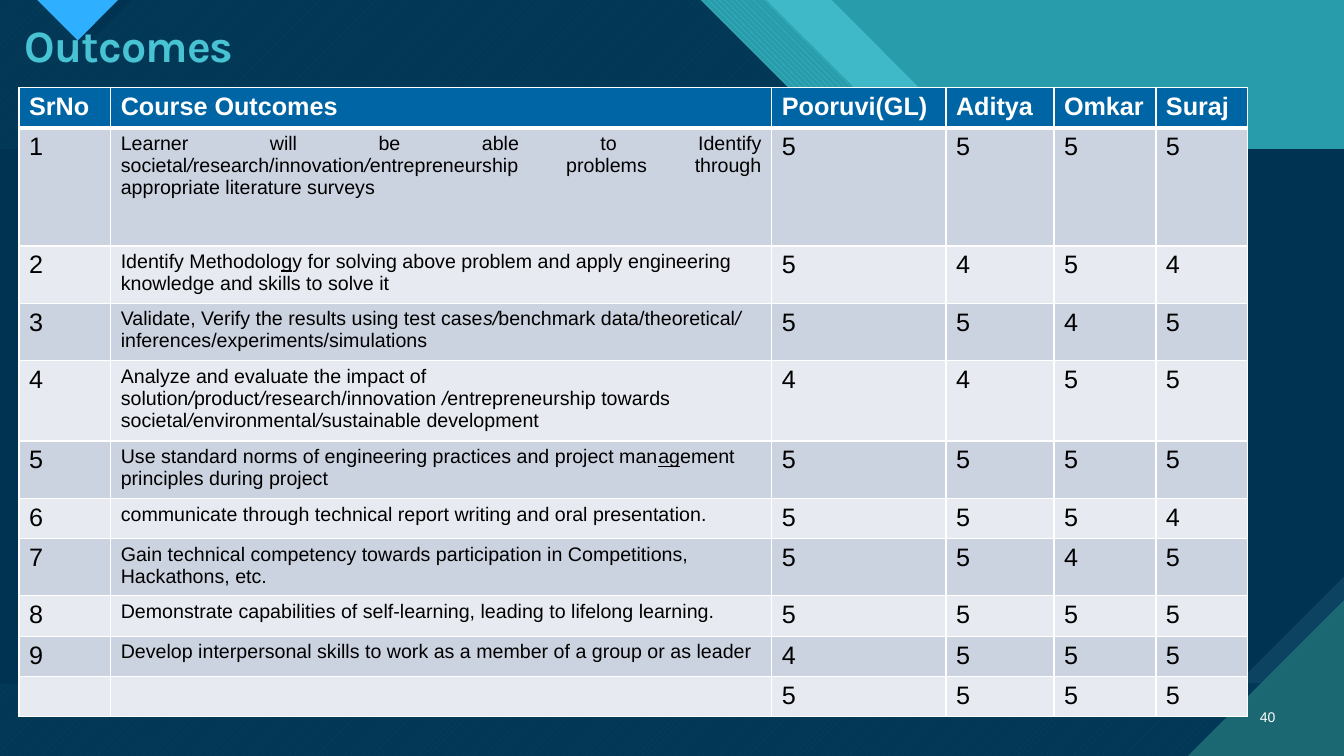
from dataclasses import dataclass
from typing import NamedTuple, Optional

import pptx
import pptx.dml.color
import pptx.enum.dml
import pptx.enum.shapes
import pptx.enum.text
import pptx.oxml.ns
import pptx.util
from lxml import etree

Cm = pptx.util.Cm
Pt = pptx.util.Pt
RGBColor = pptx.dml.color.RGBColor
Pattern = pptx.enum.dml.MSO_PATTERN
Align = pptx.enum.text.PP_ALIGN
qn = pptx.oxml.ns.qn

NAVY = RGBColor(0x00, 0x33, 0x52)
STEEL = RGBColor(0x0C, 0x43, 0x60)
TEAL = RGBColor(0x29, 0x9C, 0xAB)
AQUA = RGBColor(0x47, 0xC3, 0xD3)
PINE = RGBColor(0x1B, 0x68, 0x72)
SKY = RGBColor(0x2F, 0xAF, 0xFF)
HEADER_BLUE = RGBColor(0x00, 0x65, 0xA4)
BANDS = (RGBColor(0xCC, 0xD3, 0xE0), RGBColor(0xE7, 0xEA, 0xF0))
WHITE = RGBColor(0xFF, 0xFF, 0xFF)
BLACK = RGBColor(0x00, 0x00, 0x00)

WIDTH, HEIGHT = 33.87, 19.05
Point = tuple[float, float]


class Paint(NamedTuple):
    color: RGBColor
    back: Optional[RGBColor] = None
    pattern: Optional[Pattern] = None
    opacity: int = 100


@dataclass(frozen=True)
class Slab:
    """A slide-filling panel whose right side steps down along two diagonals."""
    left: float
    top_right: float
    ledge_start: float
    ledge_end: float
    ledge_y: float
    edge_y: float
    paint: Paint

    def points(self) -> list[Point]:
        return [(self.left, 0), (self.top_right, 0), (self.ledge_start, self.ledge_y),
                (self.ledge_end, self.ledge_y), (WIDTH, self.edge_y),
                (WIDTH, HEIGHT), (self.left, HEIGHT)]


@dataclass(frozen=True)
class Piece:
    text: str
    italic: bool = False
    underline: bool = False


@dataclass(frozen=True)
class Outcome:
    number: str
    pieces: tuple[Piece, ...]
    scores: str
    height: float = 0.99
    align: Align = Align.LEFT


SLABS = (
    Slab(0, 20.96, 28.5, 31.34, 7.57, 10.08, Paint(AQUA, opacity=74)),
    Slab(1.68, 19.3, 26.87, 30.07, 7.54, 11.35, Paint(AQUA, TEAL, Pattern.WIDE_DOWNWARD_DIAGONAL)),
    Slab(0, 17.65, 25.2, 28.4, 7.54, 13.03, Paint(AQUA, PINE, Pattern.WIDE_UPWARD_DIAGONAL)),
    Slab(0, 17.65, 25.2, 28.4, 7.54, 13.03, Paint(NAVY, opacity=90)),
)
CORNERS = (
    ([(1.22, 0), (3.33, 0), (2.29, 1.04)], Paint(NAVY)),
    ([(0.94, 0), (2.97, 0), (1.96, 1.02)], Paint(SKY, PINE, Pattern.DARK_HORIZONTAL)),
)
BOTTOM_CORNER = [(29.95, HEIGHT), (WIDTH, HEIGHT), (WIDTH, 15.14)]
PANELS = ((0, Paint(STEEL, PINE, Pattern.DARK_VERTICAL)), (0.2, Paint(NAVY)))

HEADERS = ("SrNo", "Course Outcomes", "Pooruvi(GL)", "Aditya", "Omkar", "Suraj")
COLUMN_WIDTHS = (2.31, 16.66, 4.39, 2.72, 2.57, 2.31)
HEADER_HEIGHT = 0.99
SLASH = Piece("/", italic=True)
OUTCOMES = (
    Outcome("1", (Piece("Learner will be able to Identify societal"), SLASH,
                  Piece("research/innovation"), SLASH,
                  Piece("entrepreneurship problems through appropriate literature surveys")),
            "5555", 2.97, Align.JUSTIFY),
    Outcome("2", (Piece("Identify Methodolo"), Piece("g", underline=True),
                  Piece("y for solving above problem and apply engineering "
                        "knowledge and skills to solve it")), "5454", 1.41),
    Outcome("3", (Piece("Validate, Verify the results using test case"),
                  Piece("s/", italic=True), Piece("benchmark data/theoretical"),
                  Piece("/ ", italic=True), Piece("inferences/experiments/simulations")),
            "5545", 1.41),
    Outcome("4", (Piece("Analyze and evaluate the impact of solution"), SLASH,
                  Piece("product"), SLASH, Piece("research/innovation "), SLASH,
                  Piece("entrepreneurship towards societal"), SLASH,
                  Piece("environmental"), SLASH, Piece("sustainable development")),
            "4455", 1.98),
    Outcome("5", (Piece("Use standard norms of engineering practices and project man"),
                  Piece("ag", underline=True), Piece("ement principles during project")), "5555"),
    Outcome("6", (Piece("communicate through technical report writing and oral presentation."),),
            "5554"),
    Outcome("7", (Piece("Gain technical competency towards participation in Competitions, "
                        "Hackathons, etc."),), "5545"),
    Outcome("8", (Piece("Demonstrate capabilities of self-learning, leading to lifelong learning."),),
            "5555"),
    Outcome("9", (Piece("Develop interpersonal skills to work as a member of a group or as leader"),),
            "4555"),
    Outcome("", (), "5555"),
)


def apply_paint(shape, paint: Paint) -> None:
    shape.shadow.inherit = False
    shape.line.fill.background()
    if paint.pattern is None:
        shape.fill.solid()
    else:
        shape.fill.patterned()
        shape.fill.pattern = paint.pattern
        shape.fill.back_color.rgb = paint.back
    shape.fill.fore_color.rgb = paint.color
    if paint.opacity < 100:
        for color in shape.element.iter(qn("a:srgbClr")):
            etree.SubElement(color, qn("a:alpha"), val=str(paint.opacity * 1000))


def add_polygon(slide, points: list[Point], paint: Paint) -> None:
    start, *rest = [(Cm(x), Cm(y)) for x, y in points]
    builder = slide.shapes.build_freeform(*start)
    builder.add_line_segments(rest, close=True)
    apply_paint(builder.convert_to_shape(), paint)


def add_panel(slide, snip: float, paint: Paint) -> None:
    """Add a full-width panel with its lower right corner snipped."""
    panel = slide.shapes.add_shape(pptx.enum.shapes.MSO_SHAPE.SNIP_1_RECTANGLE,
                                   0, Cm(3.76), Cm(WIDTH), Cm(13.46))
    panel.adjustments[0] = snip
    panel.element.spPr.find(qn("a:xfrm")).set("flipV", "1")
    apply_paint(panel, paint)


def add_run(paragraph, piece: Piece, size: float, color: RGBColor,
            bold: bool = False, face: str = "Arial"):
    run = paragraph.add_run()
    run.text = piece.text
    font = run.font
    font.name, font.size, font.bold = face, Pt(size), bold
    font.italic, font.underline = piece.italic, piece.underline
    font.color.rgb = color
    return run


def add_text_box(slide, left: float, top: float, width: float, height: float):
    frame = slide.shapes.add_textbox(Cm(left), Cm(top), Cm(width), Cm(height)).text_frame
    frame.word_wrap = True
    return frame


def style_cell(cell, fill: RGBColor, top: float, bottom: float) -> None:
    """Give the cell white borders (top and bottom in points) and a solid fill."""
    properties = cell._tc.get_or_add_tcPr()
    for side, points in (("L", 1), ("R", 1), ("T", top), ("B", bottom)):
        border = etree.SubElement(properties, qn(f"a:ln{side}"), w=str(Pt(points)))
        solid = etree.SubElement(border, qn("a:solidFill"))
        etree.SubElement(solid, qn("a:srgbClr"), val=str(WHITE))
    cell.fill.solid()
    cell.fill.fore_color.rgb = fill


def add_outcome_table(slide) -> None:
    heights = [HEADER_HEIGHT] + [outcome.height for outcome in OUTCOMES]
    table = slide.shapes.add_table(len(heights), len(HEADERS), Cm(0.48), Cm(2.21),
                                   Cm(sum(COLUMN_WIDTHS)), Cm(sum(heights))).table
    for column, width in zip(table.columns, COLUMN_WIDTHS):
        column.width = Cm(width)
    for row, height in zip(table.rows, heights):
        row.height = Cm(height)
    for cell, header in zip(table.rows[0].cells, HEADERS):
        style_cell(cell, HEADER_BLUE, 1, 3)
        add_run(cell.text_frame.paragraphs[0], Piece(header), 18, WHITE, bold=True)
    for index, outcome in enumerate(OUTCOMES):
        contents = [(Piece(outcome.number),) if outcome.number else (), outcome.pieces,
                    *((Piece(score),) for score in outcome.scores)]
        for column, pieces in enumerate(contents):
            cell = table.cell(index + 1, column)
            style_cell(cell, BANDS[index % 2], 1 if index else 3, 1)
            paragraph = cell.text_frame.paragraphs[0]
            if column == 1:
                paragraph.alignment = outcome.align
            for piece in pieces:
                add_run(paragraph, piece, 14 if column == 1 else 18, BLACK)


def main() -> None:
    deck = pptx.Presentation()
    deck.slide_width, deck.slide_height = Cm(WIDTH), Cm(HEIGHT)
    slide = deck.slides.add_slide(deck.slide_layouts[6])
    slide.background.fill.solid()
    slide.background.fill.fore_color.rgb = TEAL

    for slab in SLABS:
        add_polygon(slide, slab.points(), slab.paint)
    for points, paint in CORNERS:
        add_polygon(slide, points, paint)
    for snip, paint in PANELS:
        add_panel(slide, snip, paint)
    add_polygon(slide, BOTTOM_CORNER, Paint(PINE, AQUA, Pattern.DARK_HORIZONTAL))

    title = add_text_box(slide, 0.38, 0.48, 31.14, 1.5).paragraphs[0]
    title.line_spacing = 0.9
    heading = add_run(title, Piece("Outcomes"), 32, AQUA, bold=True, face="Karla")
    heading.font._element.set("spc", "-70")

    page_frame = add_text_box(slide, 31.27, 17.55, 1.12, 1.02)
    page_frame.vertical_anchor = pptx.enum.text.MSO_ANCHOR.MIDDLE
    page_frame.paragraphs[0].alignment = Align.RIGHT
    add_run(page_frame.paragraphs[0], Piece("40"), 10, WHITE)

    add_outcome_table(slide)
    deck.save("out.pptx")


if __name__ == "__main__":
    main()
